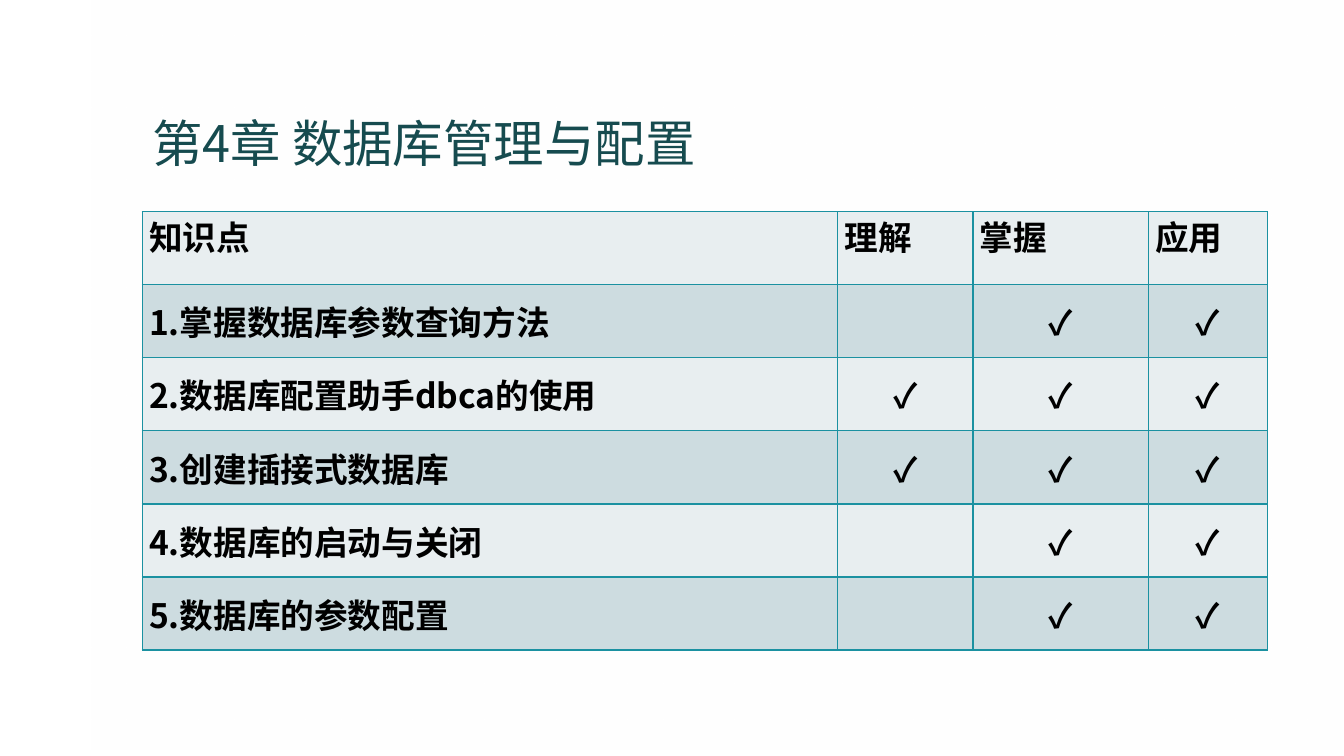
from dataclasses import dataclass

from lxml import etree
from pptx import Presentation
from pptx.dml.color import RGBColor
from pptx.enum.shapes import MSO_SHAPE
from pptx.enum.text import MSO_ANCHOR, PP_ALIGN
from pptx.oxml.ns import qn
from pptx.util import Pt

PX = 9144  # EMU per px, 100 px to the inch
FONT = "Noto Sans CJK SC"
WHITE = RGBColor(0xFF, 0xFF, 0xFF)
BLACK = RGBColor(0x00, 0x00, 0x00)
TEAL_DARK = RGBColor(0x16, 0x4B, 0x4F)
TEAL_LINE = RGBColor(0x1B, 0x91, 0xA1)
BANDS = (RGBColor(0xE8, 0xEE, 0xF0), RGBColor(0xCD, 0xDC, 0xE0))
LEFT, CENTER = PP_ALIGN.LEFT, PP_ALIGN.CENTER
TOP, MIDDLE, BOTTOM = MSO_ANCHOR.TOP, MSO_ANCHOR.MIDDLE, MSO_ANCHOR.BOTTOM
RECTANGLE = MSO_SHAPE.RECTANGLE
CHECK = "✓"


@dataclass(frozen=True)
class Topic:
    name: str
    understand: bool = False
    master: bool = True
    apply: bool = True

    def cells(self) -> list[str]:
        levels = (self.understand, self.master, self.apply)
        return [self.name] + [CHECK if level else "" for level in levels]


HEADINGS = ["知识点", "理解", "掌握", "应用"]
COLUMN_WIDTHS = (690, 134, 174, 118)
TOPICS = (
    Topic("1.掌握数据库参数查询方法"),
    Topic("2.数据库配置助手dbca的使用", understand=True),
    Topic("3.创建插接式数据库", understand=True),
    Topic("4.数据库的启动与关闭"),
    Topic("5.数据库的参数配置"),
)


def px(*lengths: int) -> list[int]:
    return [length * PX for length in lengths]


def write(frame, text: str, *, size: int, color: RGBColor, bold: bool = False,
          align=LEFT, line_spacing: float = 1.0) -> None:
    para = frame.paragraphs[0]
    para.alignment = align
    para.line_spacing = line_spacing
    span = para.add_run()
    span.text = text
    span.font.size = Pt(size)
    span.font.bold = bold
    span.font.color.rgb = color
    span.font.name = FONT
    east_asian = etree.SubElement(span.font._element, qn("a:ea"))
    east_asian.set("typeface", FONT)


def add_veil(page) -> None:
    veil = page.shapes.add_shape(RECTANGLE, *px(91, 0, 1241, 750))
    veil.shadow.inherit = False
    veil.line.fill.background()
    veil.fill.gradient()
    veil.fill.gradient_angle = 270
    for stop, alpha in zip(veil.fill.gradient_stops, (60000, 0)):
        stop.color.rgb = WHITE
    for color, alpha in zip(veil._element.spPr.iter(qn("a:srgbClr")), (60000, 0)):
        etree.SubElement(color, qn("a:alpha")).set("val", str(alpha))


def add_title(page, text: str) -> None:
    box = page.shapes.add_textbox(*px(141, 52, 1050, 125))
    box.text_frame.word_wrap = True
    box.text_frame.vertical_anchor = BOTTOM
    write(box.text_frame, text, size=36, color=TEAL_DARK, line_spacing=0.9)


def set_borders(cell, color: RGBColor) -> None:
    properties = cell._tc.get_or_add_tcPr()
    for side in ("lnL", "lnR", "lnT", "lnB"):
        line = etree.SubElement(properties, qn(f"a:{side}"), w=str(Pt(1)))
        fill = etree.SubElement(line, qn("a:solidFill"))
        etree.SubElement(fill, qn("a:srgbClr"), val=str(color))


def add_topic_table(page) -> None:
    rows = [HEADINGS] + [topic.cells() for topic in TOPICS]
    table = page.shapes.add_table(
        len(rows), len(HEADINGS), *px(141, 210, sum(COLUMN_WIDTHS), 435)).table
    table.first_row = table.horz_banding = False
    for column, width in zip(table.columns, px(*COLUMN_WIDTHS)):
        column.width = width
    for row_index, texts in enumerate(rows):
        is_heading = row_index == 0
        for column_index, text in enumerate(texts):
            cell = table.cell(row_index, column_index)
            set_borders(cell, TEAL_LINE)
            cell.fill.solid()
            cell.fill.fore_color.rgb = BANDS[row_index % 2]
            cell.margin_left, cell.margin_right = px(7, 7)
            cell.margin_top = cell.margin_bottom = 0 if is_heading else 4 * PX
            cell.vertical_anchor = TOP if is_heading else MIDDLE
            if text:
                write(cell.text_frame, text, size=24, color=BLACK, bold=True,
                      align=CENTER if text == CHECK else LEFT)


def main() -> None:
    deck = Presentation()
    deck.slide_width, deck.slide_height = px(1333, 750)
    page = deck.slides.add_slide(deck.slide_layouts[6])

    # Background
    page.background.fill.solid()
    page.background.fill.fore_color.rgb = WHITE
    add_veil(page)

    # Chapter title and table of topics
    add_title(page, "第4章 数据库管理与配置")
    add_topic_table(page)

    deck.save("out.pptx")


if __name__ == "__main__":
    main()
